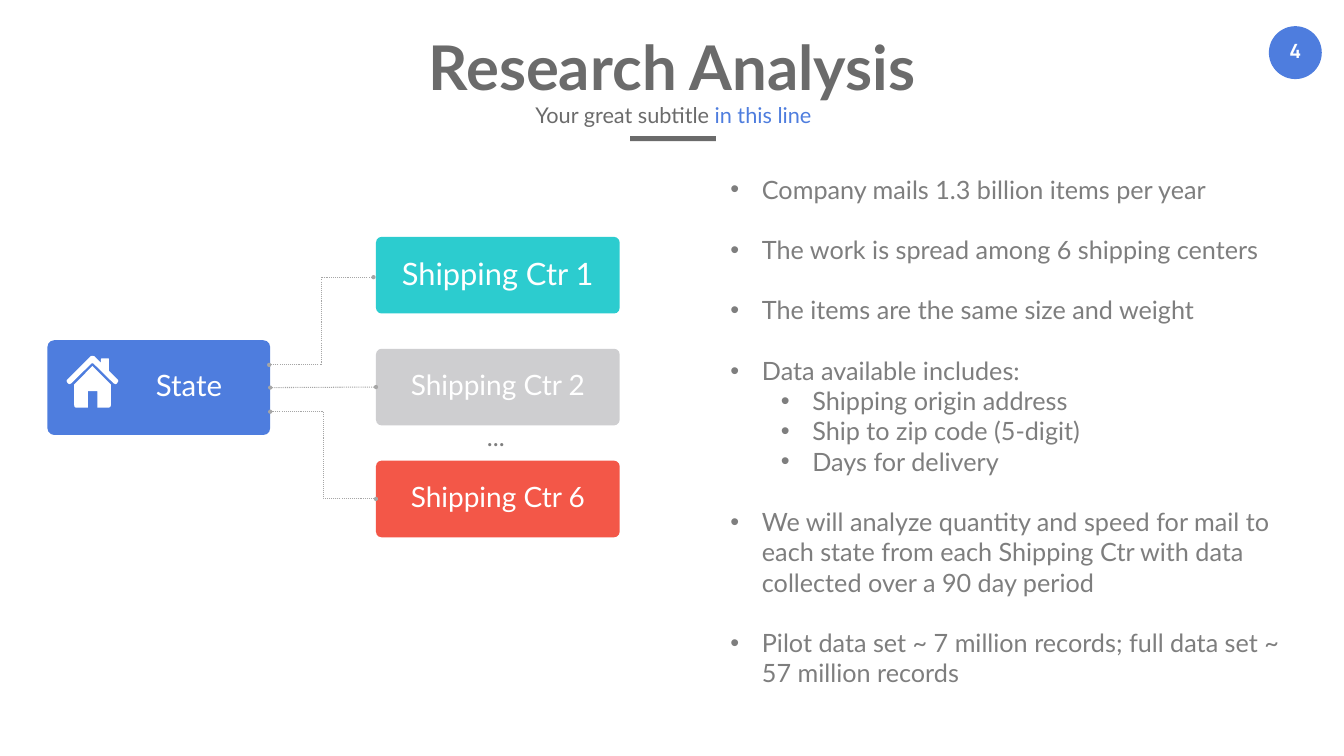
from dataclasses import dataclass

from lxml import etree
from pptx import Presentation
from pptx import util as u
from pptx.dml.color import RGBColor
from pptx.enum import dml, shapes, text
from pptx.oxml import ns


@dataclass(frozen=True)
class Theme:
    blue: str = "4E7DDE"
    teal: str = "2CCCCF"
    silver: str = "CECED0"
    red: str = "F35748"
    white: str = "FFFFFF"
    heading: str = "6B6B6B"
    body: str = "7E7E7E"
    connector: str = "A6A6A6"
    font: str = "Lato"
    number_font: str = "Manrope"
    title_size: float = 88
    subtitle_size: float = 31
    body_size: float = 36
    card_size: float = 40
    state_size: float = 42
    lead_card_size: float = 44
    number_size: float = 28


@dataclass(frozen=True)
class Box:
    left: float
    top: float
    width: float
    height: float

    def lengths(self) -> tuple:
        return tuple(u.Pt(side) for side in (self.left, self.top, self.width, self.height))


@dataclass(frozen=True)
class Card:
    label: str
    color: str
    size: float
    box: Box
    text_indent: float = 0


@dataclass(frozen=True)
class Bullet:
    label: str
    level: int = 0
    gap: bool = True


THEME = Theme()
CARD_LEFT, CARD_TOP, CARD_STEP = 537, 338.4, 159.84
CENTERS = [
    Card(label, color, size, Box(CARD_LEFT, CARD_TOP + row * CARD_STEP, 348, 109.44))
    for row, (label, color, size) in enumerate([
        ("Shipping Ctr 1", THEME.teal, THEME.lead_card_size),
        ("Shipping Ctr 2", THEME.silver, THEME.card_size),
        ("Shipping Ctr 6", THEME.red, THEME.card_size),
    ])
]
STATE = Card("State", THEME.blue, THEME.state_size, Box(67.7, 486, 318.2, 135.4), 86)
BULLETS = [
    Bullet("Company mails 1.3 billion items per year", gap=False),
    Bullet("The work is spread among 6 shipping centers"),
    Bullet("The items are the same size and weight"),
    Bullet("Data available includes:"),
    Bullet("Shipping origin address", 1, False),
    Bullet("Ship to zip code (5-digit)", 1, False),
    Bullet("Days for delivery", 1, False),
    Bullet("We will analyze quantity and speed for mail to each state from each "
           "Shipping Ctr with data collected over a 90 day period"),
    Bullet("Pilot data set ~ 7 million records; full data set ~ 57 million records"),
]
LINE_GAP = 43.2
HOUSE_ORIGIN = (95, 508.3)
ROOF = [
    (0, 36), (0.5, 34.5), (34.5, 0.5), (37, 0), (39.5, 0.5), (49, 10), (49, 4.5),
    (50, 3.5), (60, 3.5), (60.5, 4.5), (60.5, 21.5), (73.5, 34.5), (74, 36),
    (72, 39.5), (70, 40.5), (67.5, 39.5), (38.5, 11), (37, 10.5), (35.5, 11),
    (6.5, 39.5), (4.5, 40.5), (2, 39.5),
]
WALLS = [
    (37, 14.5), (63.5, 41), (63.5, 70.5), (62.5, 73), (60.5, 74), (44, 74),
    (44, 50.5), (30.5, 50.5), (30.5, 74), (13.5, 74), (11.5, 73), (11, 70.5), (11, 41),
]


def paint(shape, color: str) -> None:
    shape.shadow.inherit = False
    shape.fill.solid()
    shape.fill.fore_color.rgb = RGBColor.from_string(color)
    shape.line.fill.background()


def write(paragraph, content: str, *, size: float, color: str = THEME.white,
          font: str = THEME.font, bold: bool = False, align=text.PP_ALIGN.CENTER) -> None:
    paragraph.alignment = align
    run = paragraph.add_run()
    run.text = content
    run.font.size = u.Pt(size)
    run.font.name = font
    run.font.bold = bold
    run.font.color.rgb = RGBColor.from_string(color)


def set_margins(frame, left: float, top: float, right: float, bottom: float) -> None:
    frame.margin_left, frame.margin_top = u.Pt(left), u.Pt(top)
    frame.margin_right, frame.margin_bottom = u.Pt(right), u.Pt(bottom)


def add_shape(slide, kind, box: Box, color: str):
    shape = slide.shapes.add_shape(kind, *box.lengths())
    paint(shape, color)
    return shape


def add_text_frame(slide, box: Box, wrap: bool = True):
    frame = slide.shapes.add_textbox(*box.lengths()).text_frame
    frame.word_wrap = wrap
    return frame


def add_card(slide, card: Card):
    shape = add_shape(slide, shapes.MSO_SHAPE.ROUNDED_RECTANGLE, card.box, card.color)
    shape.adjustments[0] = 0.073
    frame = shape.text_frame
    frame.vertical_anchor = text.MSO_ANCHOR.MIDDLE
    set_margins(frame, card.text_indent, 0, 0, 7)
    write(frame.paragraphs[0], card.label, size=card.size)
    return shape


def add_dotted_connector(slide, kind, begin: tuple[float, float], end: tuple[float, float]):
    connector = slide.shapes.add_connector(kind, *(u.Pt(value) for value in begin + end))
    connector.line.color.rgb = RGBColor.from_string(THEME.connector)
    connector.line.width = u.Pt(1.5)
    connector.line.dash_style = dml.MSO_LINE.ROUND_DOT
    properties = connector.element.spPr
    outline = properties.find(ns.qn("a:ln"))
    for tag in ("a:headEnd", "a:tailEnd"):
        etree.SubElement(outline, ns.qn(tag), type="oval")
    etree.SubElement(properties, ns.qn("a:effectLst"))
    return connector


def add_house(slide) -> None:
    walls_start, *walls = [(u.Pt(x), u.Pt(y)) for x, y in WALLS]
    roof_start, *roof = [(u.Pt(x), u.Pt(y)) for x, y in ROOF]
    builder = slide.shapes.build_freeform(*roof_start)
    builder.add_line_segments(roof)
    builder.move_to(*walls_start)
    builder.add_line_segments(walls)
    paint(builder.convert_to_shape(*(u.Pt(value) for value in HOUSE_ORIGIN)), THEME.white)


def add_header(slide) -> None:
    title = add_text_frame(slide, Box(473, 38.2, 973.4, 113.8))
    write(title.paragraphs[0], "Research Analysis", size=THEME.title_size,
          color=THEME.heading, bold=True)
    add_shape(slide, shapes.MSO_SHAPE.RECTANGLE, Box(900, 194.4, 122.4, 7.2), THEME.heading)
    subtitle = add_text_frame(slide, Box(502.6, 128.9, 918, 66.2))
    set_margins(subtitle, 17.3, 8.6, 17.3, 8.6)
    paragraph = subtitle.paragraphs[0]
    paragraph.line_spacing = 1.2
    paragraph.space_before = u.Pt(6)
    write(paragraph, "Your great subtitle ", size=THEME.subtitle_size, color=THEME.heading)
    write(paragraph, "in this line", size=THEME.subtitle_size, color=THEME.blue)
    badge = add_shape(slide, shapes.MSO_SHAPE.OVAL, Box(1812.2, 37.4, 75.6, 75.6), THEME.blue)
    badge.text_frame.vertical_anchor = text.MSO_ANCHOR.MIDDLE
    set_margins(badge.text_frame, 0, 0, 0, 7)
    write(badge.text_frame.paragraphs[0], "4", size=THEME.number_size,
          font=THEME.number_font, bold=True)


def add_diagram(slide) -> None:
    centers = [add_card(slide, card) for card in CENTERS]
    state = add_card(slide, STATE)
    add_house(slide)
    state_right = STATE.box.left + STATE.box.width
    elbow, straight = shapes.MSO_CONNECTOR.ELBOW, shapes.MSO_CONNECTOR.STRAIGHT
    add_dotted_connector(slide, elbow, (533.5, 396), (384.5, 521.3))
    add_dotted_connector(slide, elbow, (CARD_LEFT, 712.8), (state_right, 588.2))
    middle = add_dotted_connector(slide, straight, (CARD_LEFT, 553), (state_right, 553.7))
    middle.begin_connect(centers[1], 1)
    middle.end_connect(state, 3)
    ellipsis = add_text_frame(slide, Box(688.3, 597.6, 44.6, 51.1), wrap=False)
    write(ellipsis.paragraphs[0], "...", size=THEME.body_size, color=THEME.body,
          align=text.PP_ALIGN.LEFT)


def add_bullets(slide) -> None:
    frame = add_text_frame(slide, Box(1036.1, 244.8, 805.7, 748.8))
    for index, bullet in enumerate(BULLETS):
        paragraph = frame.add_paragraph() if index else frame.paragraphs[0]
        paragraph.level = bullet.level
        paragraph.space_before = u.Pt(LINE_GAP if bullet.gap else 0)
        write(paragraph, bullet.label, size=THEME.body_size, color=THEME.body,
              align=text.PP_ALIGN.LEFT)
        properties = paragraph._p.get_or_add_pPr()
        properties.set("marL", str(u.Pt(45 + 72 * bullet.level)))
        properties.set("indent", str(u.Pt(-45)))
        etree.SubElement(properties, ns.qn("a:buFont"), typeface="Arial")
        etree.SubElement(properties, ns.qn("a:buChar"), char="•")


def main() -> None:
    presentation = Presentation()
    presentation.slide_width, presentation.slide_height = u.Pt(1919.52), u.Pt(1080)
    slide = presentation.slides.add_slide(presentation.slide_layouts[6])
    add_header(slide)
    add_diagram(slide)
    add_bullets(slide)
    presentation.save("out.pptx")


if __name__ == "__main__":
    main()
